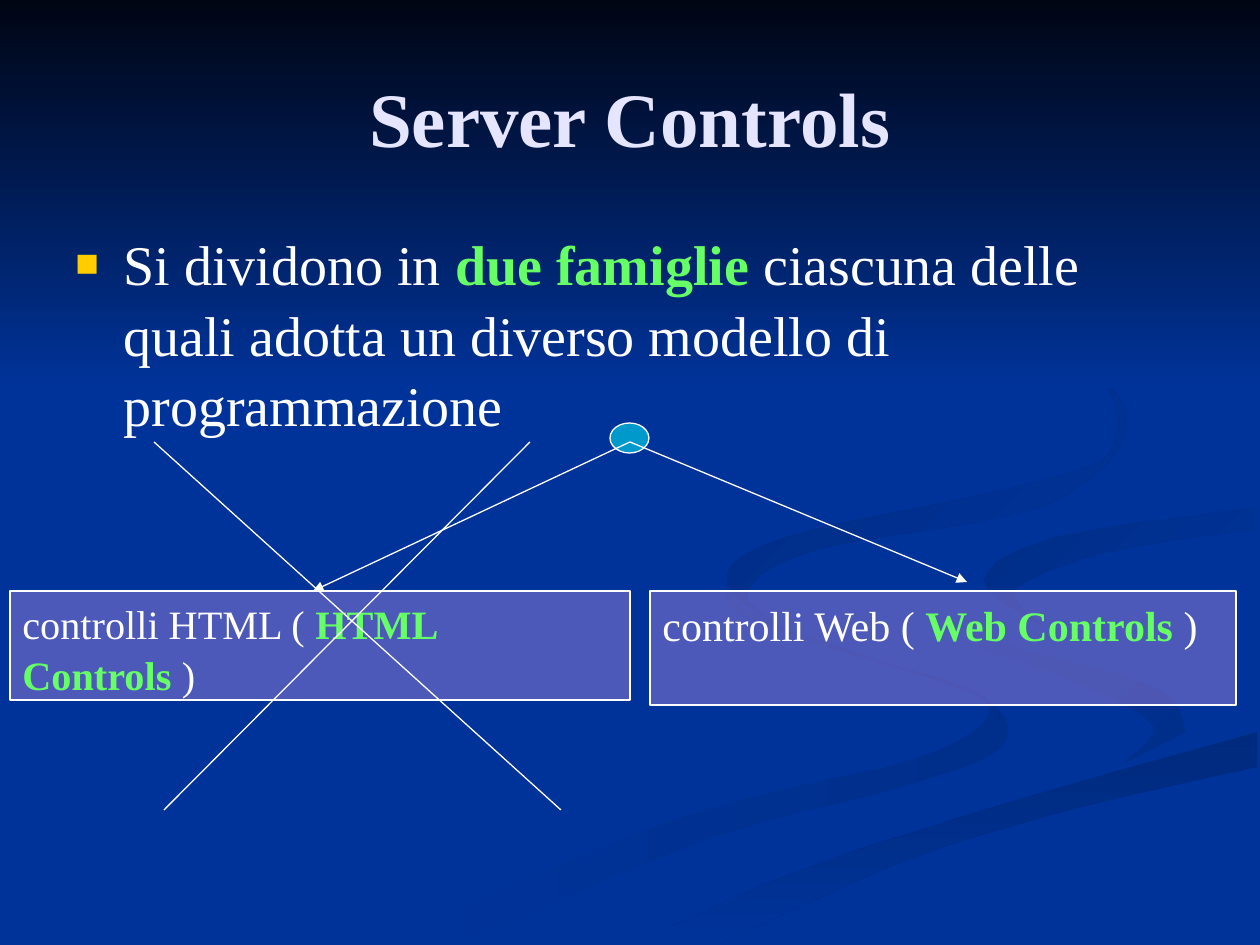
"""Build the Server Controls slide, with its two families of controls."""
from lxml.etree import SubElement
from pptx import Presentation
from pptx.dml.color import RGBColor
from pptx.enum.shapes import MSO_CONNECTOR, MSO_SHAPE
from pptx.enum.text import MSO_ANCHOR, PP_ALIGN
from pptx.oxml.ns import qn
from pptx.util import Pt

PX = 914400 // 126
SLIDE_SIZE = (1260, 945)
FONT = "Times New Roman"
NAVY, WHITE, GREEN, LAVENDER = "003399", "FFFFFF", "66FF66", "E5E5FF"
LINE_WIDTH = 0.74
CURVE_STEPS = 5

SWOOSHES = [
    ((NAVY, "002E8B"), 0,
     [(725, 580), (738, 613), (824, 646), (948, 684), (990, 713), (916, 759), (679, 818), (378, 944)],
     [(455, 944), (711, 838), (908, 785), (1002, 746), (984, 697), (859, 654), (748, 611), (725, 580)]),
    ((NAVY, "002E8B"), 45,
     [(912, 585), (951, 636), (1076, 682), (1153, 725), (1126, 762)],
     [(1186, 732), (1158, 689), (1022, 649), (939, 617), (912, 585)]),
    (("002A7D", NAVY), 90,
     [(634, 944), (794, 873), (1004, 804), (1257, 732)],
     [(1257, 767), (1085, 806), (910, 859), (719, 944)]),
    (("002D86", NAVY), 45,
     [(1257, 507), (1053, 538), (984, 580), (1041, 625)],
     [(1041, 625), (1016, 589), (1106, 553), (1257, 529)]),
    (("002B82", NAVY), 45,
     [(960, 294), (1096, 377), (1116, 438), (1061, 476), (787, 537), (727, 582), (784, 630)],
     [(784, 630), (747, 592), (818, 549), (1040, 507), (1126, 433), (1089, 367), (960, 294)]),
]
SKY = (0, 0, 1260, 388)
TITLE = [("Server Controls", LAVENDER, True)]
BODY = [
    ("Si dividono in ", WHITE, False),
    ("due famiglie", GREEN, True),
    (" ciascuna delle quali adotta un diverso modello di programmazione", WHITE, False),
]
FAMILIES = [
    ((650, 591, 586, 114), 24, 15, "controlli Web ( ", "Web Controls "),
    ((10, 591, 620, 109), 23, 14.4, "controlli HTML ( ", "HTML Controls "),
]
ROOT = (610, 423, 39, 30)
ARROWS = [((630, 442), (313, 591)), ((630, 442), (967, 582))]
CROSS = [((154, 442), (561, 810)), ((530, 442), (164, 810))]


def rgb(value):
    return RGBColor.from_string(value)


def scaled(lengths):
    return [length * PX for length in lengths]


def assign(target, values):
    for name, value in values.items():
        setattr(target, name, value)


def outline(part):
    part.line.color.rgb = rgb(WHITE)
    part.line.width = Pt(LINE_WIDTH)


def smooth(edge):
    """Return the points of a Catmull-Rom curve through the edge."""
    padded = [edge[0], *edge, edge[-1]]
    curve = [edge[0]]
    for before, start, end, after in zip(padded, padded[1:], padded[2:], padded[3:]):
        for step in range(1, CURVE_STEPS + 1):
            t = step / CURVE_STEPS
            curve.append(tuple(
                round(b + t * (c - a + t * (2 * a - 5 * b + 4 * c - d
                                            + t * (3 * b - a - 3 * c + d))) / 2)
                for a, b, c, d in zip(before, start, end, after)))
    return curve


def fill_gradient(part, colors, angle):
    part.shadow.inherit = False
    part.line.fill.background()
    part.fill.gradient()
    part.fill.gradient_angle = -angle % 360
    for stop, color, position in zip(part.fill.gradient_stops, colors, (0, 1)):
        stop.color.rgb = rgb(color)
        stop.position = position


def write(part, pieces, size, frame_format, paragraph_format):
    assign(part.text_frame, {"word_wrap": True, **frame_format})
    paragraph = part.text_frame.paragraphs[0]
    assign(paragraph, paragraph_format)
    for words, color, bold in pieces:
        run = paragraph.add_run()
        run.text = words
        assign(run.font, {"name": FONT, "size": Pt(size), "bold": bold})
        run.font.color.rgb = rgb(color)
    return paragraph


def add_filled(preset, box, color):
    part = slide.shapes.add_shape(preset, *scaled(box))
    part.shadow.inherit = False
    part.fill.solid()
    part.fill.fore_color.rgb = rgb(color)
    outline(part)
    return part


def add_line(start, end, arrow):
    line = slide.shapes.add_connector(MSO_CONNECTOR.STRAIGHT, *scaled(start + end))
    outline(line)
    if arrow:
        SubElement(line._element.spPr.find(qn("a:ln")), qn("a:tailEnd"), type="triangle")
    SubElement(line._element.spPr, qn("a:effectLst"))


def add_bullet(paragraph, color, percent, character):
    properties = paragraph._p.get_or_add_pPr()
    for name, value in {"marL": 48, "indent": -48}.items():
        properties.set(name, str(value * PX))
    tint = SubElement(properties, qn("a:buClr"))
    SubElement(tint, qn("a:srgbClr"), val=color)
    SubElement(properties, qn("a:buSzPct"), val=str(percent * 1000))
    SubElement(properties, qn("a:buFont"), typeface=FONT)
    SubElement(properties, qn("a:buChar"), char=character)


deck = Presentation()
assign(deck, dict(zip(("slide_width", "slide_height"), scaled(SLIDE_SIZE))))
slide = deck.slides.add_slide(deck.slide_layouts[6])
slide.background.fill.solid()
slide.background.fill.fore_color.rgb = rgb(NAVY)

for colors, angle, near_edge, far_edge in SWOOSHES:
    points = smooth(near_edge) + smooth(far_edge)
    builder = slide.shapes.build_freeform(*points[0], scale=PX)
    builder.add_line_segments(points[1:], close=True)
    fill_gradient(builder.convert_to_shape(), colors, angle)

sky = slide.shapes.add_shape(MSO_SHAPE.RECTANGLE, *scaled(SKY))
fill_gradient(sky, ("000514", NAVY), 90)

title = slide.shapes.add_textbox(*scaled((63, 38, 1134, 157)))
write(title, TITLE, 44, {"vertical_anchor": MSO_ANCHOR.MIDDLE}, {"alignment": PP_ALIGN.CENTER})

body = slide.shapes.add_textbox(*scaled((63, 220, 1134, 624)))
statement = write(body, BODY, 32, {"vertical_anchor": MSO_ANCHOR.TOP},
                  {"space_before": Pt(8), "line_spacing": 1.05})
add_bullet(statement, "FFCC00", 70, "■")

for box, size, gap, lead, family in FAMILIES:
    panel = add_filled(MSO_SHAPE.RECTANGLE, box, "A886E0")
    tint = panel._element.spPr.find(qn("a:solidFill"))[0]
    SubElement(tint, qn("a:alpha"), val="46000")
    pieces = [(lead, WHITE, False), (family, GREEN, True), (")", WHITE, False)]
    write(panel, pieces, size, {"vertical_anchor": MSO_ANCHOR.TOP},
          {"alignment": PP_ALIGN.LEFT, "space_before": Pt(gap), "line_spacing": 1.05})

add_filled(MSO_SHAPE.OVAL, ROOT, "0099CC")
for start, end in ARROWS + CROSS:
    add_line(start, end, (start, end) in ARROWS)

deck.save("out.pptx")
